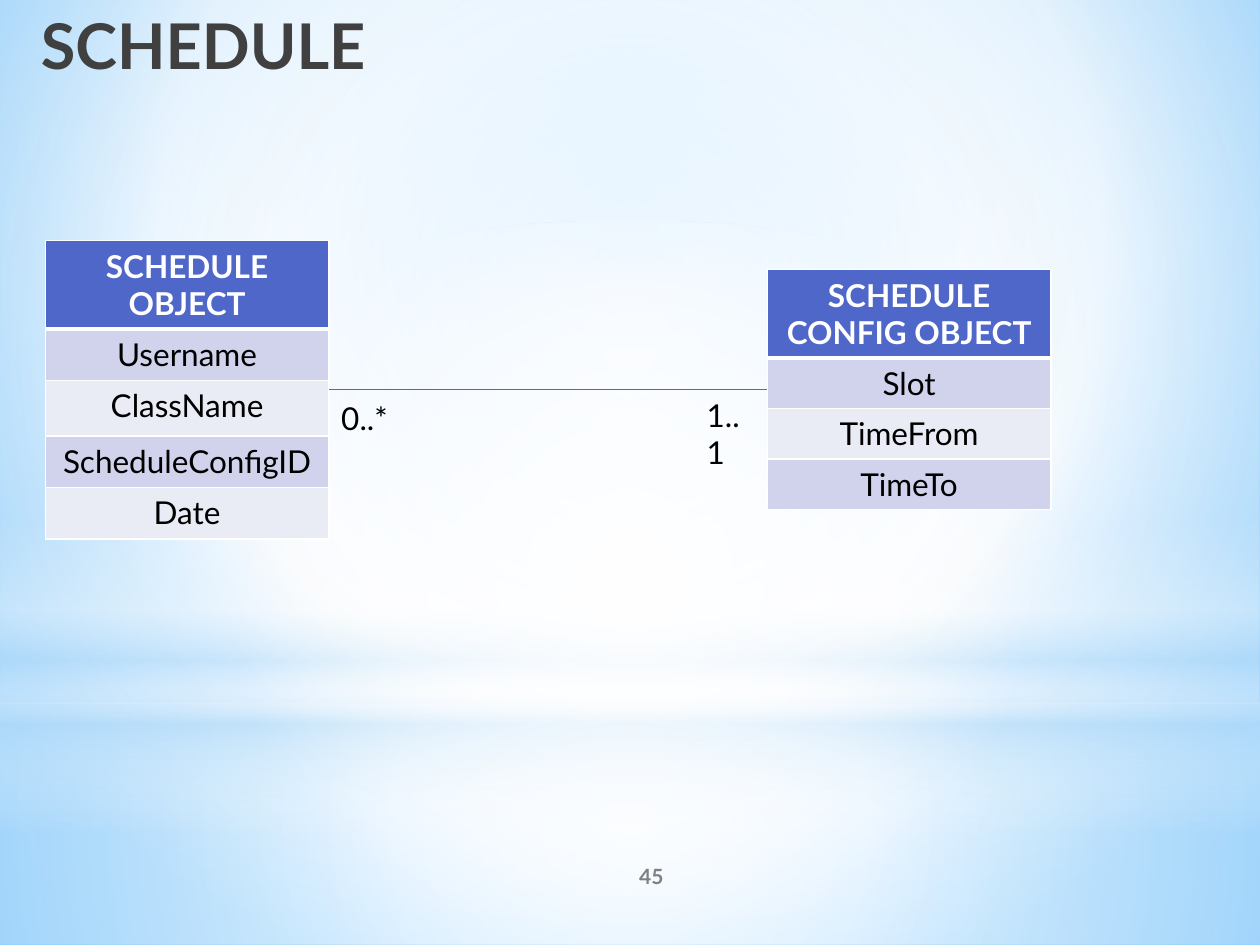
import lxml.etree
import pptx
import pptx.dml.color
import pptx.enum.shapes
import pptx.enum.text
import pptx.oxml.ns
import pptx.util

SHAPE = pptx.enum.shapes.MSO_SHAPE
ALIGN = pptx.enum.text.PP_ALIGN
ANCHOR = pptx.enum.text.MSO_ANCHOR
qn = pptx.oxml.ns.qn

THEME = {
    "font": "Lato", "title": 36, "body": 18, "number": 12,
    "ink": "000000", "heading": "404040", "muted": "808080",
    "white": "FFFFFF", "accent": "4E67C8", "bands": ("D0D3EB", "E9EBF5"),
    "haze": "B4DCFA", "sky": "9ED5FF", "deep sky": "5BB9FF",
}

deck = pptx.Presentation()
deck.slide_width = pptx.util.Inches(10)
deck.slide_height = pptx.util.Inches(7.5)
page = deck.slides.add_slide(deck.slide_layouts[6])

# The grid: 100 columns by 75 rows
COL = deck.slide_width / 100
ROW = deck.slide_height / 75


def write(frame, text, size=THEME["body"], color=THEME["ink"], bold=False,
          align=ALIGN.LEFT, anchor=ANCHOR.TOP):
    """Fill a text frame or table cell with one formatted paragraph."""
    if hasattr(frame, "word_wrap"):
        frame.word_wrap = True
    frame.vertical_anchor = anchor
    para = getattr(frame, "text_frame", frame).paragraphs[0]
    para.alignment = align
    span = para.add_run()
    span.text = text
    span.font.name = THEME["font"]
    span.font.size = pptx.util.Pt(size)
    span.font.bold = bold
    span.font.color.rgb = pptx.dml.color.RGBColor.from_string(color)


def blend(properties, stops, center=None):
    """Swap a solid fill for a radial gradient, or a vertical one without center."""
    solid = properties.find(qn("a:solidFill"))
    gradient = lxml.etree.Element(qn("a:gradFill"), rotWithShape="1")
    stop_list = lxml.etree.SubElement(gradient, qn("a:gsLst"))
    for position, name, opacity in stops:
        stop = lxml.etree.SubElement(stop_list, qn("a:gs"), pos=str(position * 1000))
        color = lxml.etree.SubElement(stop, qn("a:srgbClr"), val=THEME[name])
        if opacity < 100:
            lxml.etree.SubElement(color, qn("a:alpha"), val=str(opacity * 1000))
    if center:
        radial = lxml.etree.SubElement(gradient, qn("a:path"), path="circle")
        edges = {side: str(share * 1000) for side, share in zip("ltrb", center)}
        lxml.etree.SubElement(radial, qn("a:fillToRect"), **edges)
    else:
        lxml.etree.SubElement(gradient, qn("a:lin"), ang="5400000", scaled="0")
    properties.replace(solid, gradient)


# Background
page.background.fill.solid()
page.background.fill.fore_color.rgb = pptx.dml.color.RGBColor.from_string(THEME["sky"])
blend(page.element.find(".//" + qn("p:bgPr")),
      [(0, "sky", 100), (60, "white", 100), (100, "deep sky", 100)], (20, 10, 20, 60))

# Light layers: preset, top row, height in rows, gradient stops, center
MIDDLE = (50, 50, 50, 50)
layers = [
    (SHAPE.RECTANGLE, 55.8, 19.2,
     [(0, "white", 91), (37, "white", 76), (100, "haze", 79)], MIDDLE),
    (SHAPE.RECTANGLE, 0, 55.8,
     [(0, "white", 89), (48, "white", 62), (100, "haze", 79)], MIDDLE),
    (SHAPE.RECTANGLE, 41.2, 25,
     [(0, "white", 0), (29, "white", 30), (45, "haze", 40),
      (55, "white", 26), (65, "haze", 60), (100, "white", 0)], None),
    (SHAPE.OVAL, 17.5, 55.8, [(0, "white", 100), (56, "white", 0)], MIDDLE),
]
for preset, top, height, stops, center in layers:
    layer = page.shapes.add_shape(preset, 0, int(top * ROW), deck.slide_width, int(height * ROW))
    layer.shadow.inherit = False
    layer.line.fill.background()
    layer.fill.solid()
    layer.fill.fore_color.rgb = pptx.dml.color.RGBColor.from_string(THEME["white"])
    blend(layer.element.spPr, stops, center)

# Object tables: left column, top row, row heights, header and fields
TABLE_WIDTH = 22.5
objects = [
    (3.6, 19.1, (4.1, 4.1, 4.4, 4.1, 4.1),
     ("SCHEDULE OBJECT", "Username", "ClassName", "ScheduleConfigID", "Date")),
    (60.9, 21.4, (6.3, 3.7, 4, 3.7),
     ("SCHEDULE CONFIG OBJECT", "Slot", "TimeFrom", "TimeTo")),
]
for left, top, heights, names in objects:
    table = page.shapes.add_table(len(names), 1, int(left * COL), int(top * ROW),
                                  int(TABLE_WIDTH * COL), int(sum(heights) * ROW)).table
    for index, (height, name) in enumerate(zip(heights, names)):
        header = index == 0
        table.rows[index].height = int(height * ROW)
        cell = table.cell(index, 0)
        write(cell, name, bold=header, align=ALIGN.CENTER,
              color=THEME["white"] if header else THEME["ink"])
        cell.fill.solid()
        cell.fill.fore_color.rgb = pptx.dml.color.RGBColor.from_string(
            THEME["accent"] if header else THEME["bands"][(index - 1) % 2])
        # White borders, heavier where the header meets the fields
        heavy = {0: "lnB", 1: "lnT"}.get(index)
        for order, side in enumerate(("lnL", "lnR", "lnT", "lnB")):
            weight = 3 if side == heavy else 1
            border = lxml.etree.Element(qn("a:" + side), w=str(pptx.util.Pt(weight)))
            paint = lxml.etree.SubElement(border, qn("a:solidFill"))
            lxml.etree.SubElement(paint, qn("a:srgbClr"), val=THEME["white"])
            cell._tc.tcPr.insert(order, border)

# Relation between the two objects
link_row = int(30.9 * ROW)
link = page.shapes.add_connector(pptx.enum.shapes.MSO_CONNECTOR.STRAIGHT,
                                 int((objects[0][0] + TABLE_WIDTH) * COL), link_row,
                                 int(objects[1][0] * COL), link_row)
link.line.width = pptx.util.Pt(0.75)
link.line.color.rgb = pptx.dml.color.RGBColor.from_string(THEME["accent"])
lxml.etree.SubElement(link.element.spPr, qn("a:effectLst"))

# Multiplicities, title and page number
centered = {"align": ALIGN.CENTER, "anchor": ANCHOR.MIDDLE}
labels = [
    ("0..*", (26.1, 31.2, 5.8, 4), {}),
    ("1..1", (55.1, 30.9, 5.8, 4), {}),
    ("SCHEDULE", (0, 0, 30, 8.8),
     {"size": THEME["title"], "color": THEME["heading"], "bold": True, "align": ALIGN.RIGHT}),
    ("45", (41.7, 67.5, 20, 4),
     {"size": THEME["number"], "color": THEME["muted"], "bold": True, **centered}),
]
for text, (left, top, width, height), style in labels:
    box = page.shapes.add_textbox(int(left * COL), int(top * ROW),
                                  int(width * COL), int(height * ROW))
    write(box.text_frame, text, **style)

deck.save("out.pptx")
